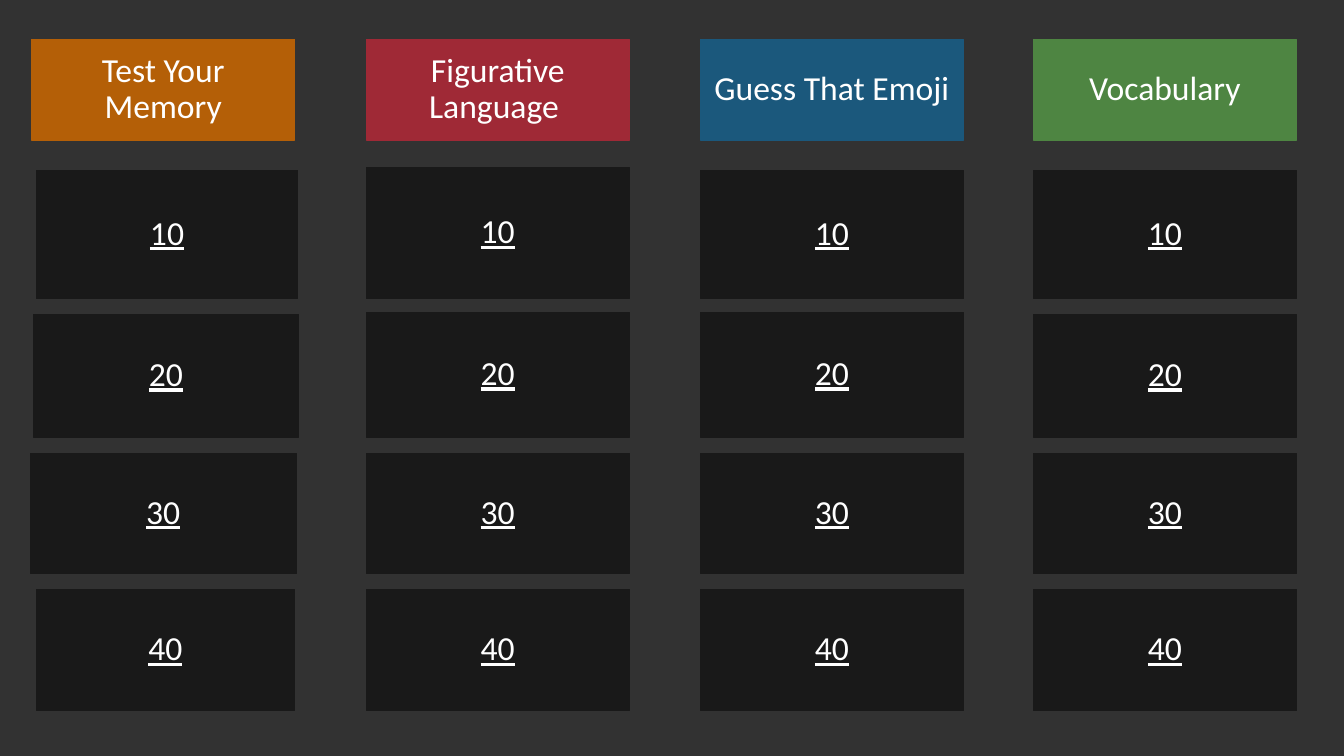
from pptx import Presentation
from pptx.dml.color import RGBColor
from pptx.enum.shapes import MSO_SHAPE
from pptx.enum.text import MSO_ANCHOR, PP_ALIGN
from pptx.util import Cm, Pt

RECTANGLE = MSO_SHAPE.RECTANGLE
MIDDLE = MSO_ANCHOR.MIDDLE
CENTER = PP_ALIGN.CENTER

BACKGROUND = RGBColor(0x32, 0x32, 0x32)
TILE = RGBColor(0x19, 0x19, 0x19)
WHITE = RGBColor(0xFF, 0xFF, 0xFF)
ORANGE = RGBColor(0xB4, 0x5F, 0x07)
RED = RGBColor(0x9F, 0x29, 0x36)
BLUE = RGBColor(0x1B, 0x58, 0x7C)
GREEN = RGBColor(0x4E, 0x85, 0x42)

COLUMN_WIDTH = 6.63
HEADER_TOP, HEADER_HEIGHT = 0.99, 2.54

# Category name, header colour, left edge in cm
CATEGORIES = [
    ("Test Your Memory", ORANGE, 0.8),
    ("Figurative Language\u00a0", RED, 9.23),
    ("Guess That Emoji", BLUE, 17.65),
    ("Vocabulary", GREEN, 26.04),
]

# Points, tile top in each column, shared bottom edge in cm
ROWS = [
    ("10", (4.29, 4.22, 4.29, 4.29), 7.52),
    ("20", (7.92, 7.87, 7.87, 7.92), 11.02),
    ("30", (11.43, 11.43, 11.43, 11.43), 14.45),
    ("40", (14.86, 14.86, 14.86, 14.86), 17.9),
]

# Left edge and width of the first column's tiles, which vary by row
FIRST_COLUMN = [(0.91, 6.6), (0.84, 6.68), (0.76, 6.71), (0.91, 6.52)]


def add_box(page, text, color, left, top, width, height, underline=False):
    """Add a filled rectangle with centred white text."""
    box = page.shapes.add_shape(RECTANGLE, Cm(left), Cm(top), Cm(width), Cm(height))
    box.shadow.inherit = False
    box.fill.solid()
    box.fill.fore_color.rgb = color
    box.line.color.rgb = color
    box.line.width = Pt(0.75)
    frame = box.text_frame
    frame.word_wrap = True
    frame.vertical_anchor = MIDDLE
    para = frame.paragraphs[0]
    para.alignment = CENTER
    para.line_spacing = 0.9
    span = para.add_run()
    span.text = text
    span.font.name = "Calibri"
    span.font.size = Pt(24)
    span.font.color.rgb = WHITE
    span.font.underline = underline


deck = Presentation()
deck.slide_width, deck.slide_height = Cm(33.87), Cm(19.05)
page = deck.slides.add_slide(deck.slide_layouts[6])
page.background.fill.solid()
page.background.fill.fore_color.rgb = BACKGROUND

for column, (category, color, column_left) in enumerate(CATEGORIES):
    add_box(page, category, color, column_left, HEADER_TOP, COLUMN_WIDTH, HEADER_HEIGHT)
    for row, (points, tops, bottom) in enumerate(ROWS):
        left, width = FIRST_COLUMN[row] if column == 0 else (column_left, COLUMN_WIDTH)
        top = tops[column]
        add_box(page, points, TILE, left, top, width, bottom - top, underline=True)

deck.save("out.pptx")
